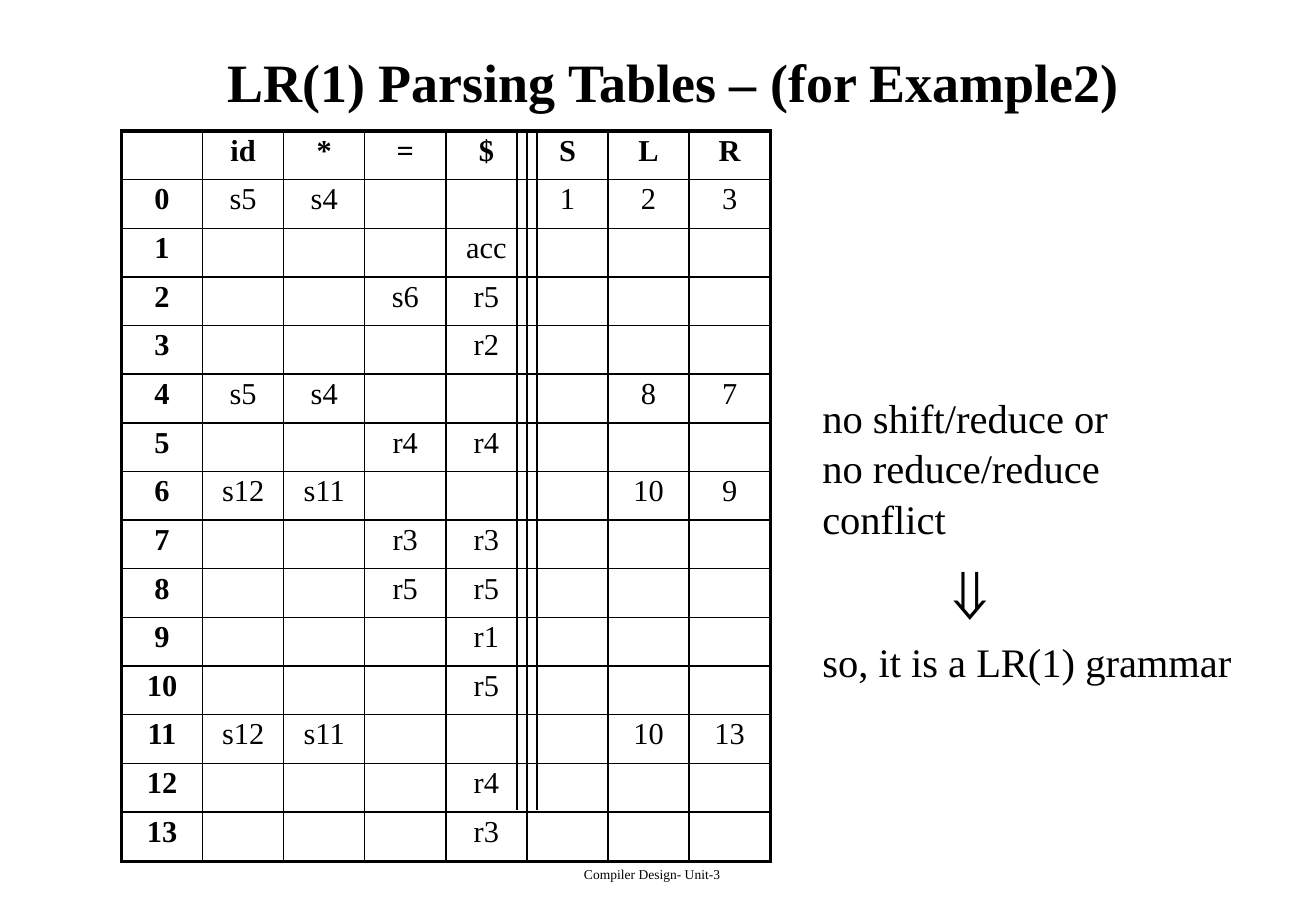
import dataclasses

import pptx
import pptx.dml.color
import pptx.enum.shapes
import pptx.enum.text
import pptx.oxml.ns
import pptx.util
from lxml import etree

Cm = pptx.util.Cm
Pt = pptx.util.Pt
ALIGN = pptx.enum.text.PP_ALIGN


@dataclasses.dataclass(frozen=True)
class Theme:
    font: str = "Times New Roman"
    ink: str = "000000"
    title_size: int = 32
    note_size: int = 24
    arrow_size: int = 44
    table_size: int = 18
    footer_size: int = 8
    frame_width: float = 2.25
    grid_width: float = 1
    separator_width: float = 0.75


THEME = Theme()

# Parsing table: state, actions (id * = $), gotos (S L R)
COLUMNS = ["", "id", "*", "=", "$", "S", "L", "R"]
STATES = [
    {"id": "s5", "*": "s4", "S": "1", "L": "2", "R": "3"},
    {"$": "acc"},
    {"=": "s6", "$": "r5"},
    {"$": "r2"},
    {"id": "s5", "*": "s4", "L": "8", "R": "7"},
    {"=": "r4", "$": "r4"},
    {"id": "s12", "*": "s11", "L": "10", "R": "9"},
    {"=": "r3", "$": "r3"},
    {"=": "r5", "$": "r5"},
    {"$": "r1"},
    {"$": "r5"},
    {"id": "s12", "*": "s11", "L": "10", "R": "13"},
    {"$": "r4"},
    {"$": "r3"},
]
ACTION_COLUMNS = 5  # state column and four action columns
TABLE_LEFT, TABLE_TOP = Cm(2.54), Cm(2.74)
TABLE_WIDTH, STATE_ROWS_HEIGHT, LAST_ROW_HEIGHT = Cm(13.56), Cm(13.52), Cm(1.04)


def ink():
    return pptx.dml.color.RGBColor.from_string(THEME.ink)


def write(paragraph, text, size, bold=False, align=ALIGN.LEFT, spacing=None, indent=0):
    """Put formatted text into a paragraph."""
    paragraph.alignment = align
    if spacing:
        paragraph.line_spacing = spacing
    if indent:
        properties = paragraph._p.get_or_add_pPr()
        properties.set("marL", str(indent))
        properties.set("indent", "0")
    if text:
        run = paragraph.add_run()
        run.text = text
        run.font.name = THEME.font
        run.font.size = Pt(size)
        run.font.bold = bold
        run.font.color.rgb = ink()


def add_text_box(slide, left, top, width, height):
    frame = slide.shapes.add_textbox(left, top, width, height).text_frame
    frame.word_wrap = True
    return frame


def add_title(slide, text):
    title = slide.shapes.title
    title.left, title.top, title.width, title.height = Cm(1.06), Cm(0.42), Cm(26.04), Cm(2.54)
    frame = title.text_frame
    frame.auto_size = pptx.enum.text.MSO_AUTO_SIZE.NONE
    frame.vertical_anchor = pptx.enum.text.MSO_ANCHOR.MIDDLE
    write(frame.paragraphs[0], text, THEME.title_size, bold=True, align=ALIGN.CENTER)


def set_borders(cell, widths):
    """Draw the left, right, top and bottom borders, widths in points."""
    properties = cell._tc.get_or_add_tcPr()
    qn = pptx.oxml.ns.qn
    for position, (side, width) in enumerate(zip("LRTB", widths)):
        line = etree.Element(qn(f"a:ln{side}"), w=str(Pt(width)))
        fill = etree.SubElement(line, qn("a:solidFill"))
        etree.SubElement(fill, qn("a:srgbClr"), val=THEME.ink)
        properties.insert(position, line)


def add_parsing_table(slide):
    rows = [COLUMNS] + [
        [str(state)] + [entries.get(symbol, "") for symbol in COLUMNS[1:]]
        for state, entries in enumerate(STATES)
    ]
    last_row, last_column = len(rows) - 1, len(COLUMNS) - 1
    table = slide.shapes.add_table(
        len(rows), len(COLUMNS), TABLE_LEFT, TABLE_TOP,
        TABLE_WIDTH, STATE_ROWS_HEIGHT + LAST_ROW_HEIGHT).table
    table.first_row = table.horz_banding = False
    for column in table.columns:
        column.width = TABLE_WIDTH // len(COLUMNS)
    for row in table.rows:
        row.height = STATE_ROWS_HEIGHT // last_row
    table.rows[last_row].height = LAST_ROW_HEIGHT

    for i, row in enumerate(rows):
        for j, text in enumerate(row):
            cell = table.cell(i, j)
            cell.fill.background()
            write(cell.text_frame.paragraphs[0], text, THEME.table_size,
                  bold=i == 0 or j == 0, align=ALIGN.CENTER, spacing=0.9)
            on_frame = (j == 0, j == last_column, i == 0, i == last_row)
            set_borders(cell, [THEME.frame_width if outer else THEME.grid_width
                               for outer in on_frame])


def add_separator(slide, x):
    line = slide.shapes.add_connector(
        pptx.enum.shapes.MSO_CONNECTOR.STRAIGHT, x, TABLE_TOP, x, Cm(16.94))
    line.line.color.rgb = ink()
    line.line.width = Pt(THEME.separator_width)
    etree.SubElement(line._element.spPr, pptx.oxml.ns.qn("a:effectLst"))


def add_conclusion(slide):
    frame = add_text_box(slide, Cm(16.94), Cm(8.05), Cm(9.1), Cm(5.16))
    lines = [
        ("no shift/reduce or", THEME.note_size, 0),
        ("no reduce/reduce conflict", THEME.note_size, 0),
        ("⇓", THEME.arrow_size, Cm(2.54)),
        ("so, it is a LR(1) grammar", THEME.note_size, 0),
    ]
    for number, (text, size, indent) in enumerate(lines):
        paragraph = frame.add_paragraph() if number else frame.paragraphs[0]
        write(paragraph, text, size, spacing=1.04, indent=indent)


def main():
    presentation = pptx.Presentation()
    presentation.slide_width, presentation.slide_height = Cm(27.51), Cm(19.05)
    slide = presentation.slides.add_slide(presentation.slide_layouts[5])

    # Footer and title
    footer = add_text_box(slide, Cm(8.48), Cm(17.98), Cm(10.31), Cm(0.64))
    write(footer.paragraphs[0], "Compiler Design- Unit-3", THEME.footer_size,
          align=ALIGN.CENTER)
    add_title(slide, "LR(1) Parsing Tables – (for Example2)")

    # Table, with a double rule between actions and gotos
    add_parsing_table(slide)
    boundary = TABLE_LEFT + TABLE_WIDTH * ACTION_COLUMNS // len(COLUMNS)
    for offset in (Cm(0.21), -Cm(0.21)):
        add_separator(slide, boundary + offset)

    add_conclusion(slide)
    presentation.save("out.pptx")


if __name__ == "__main__":
    main()
